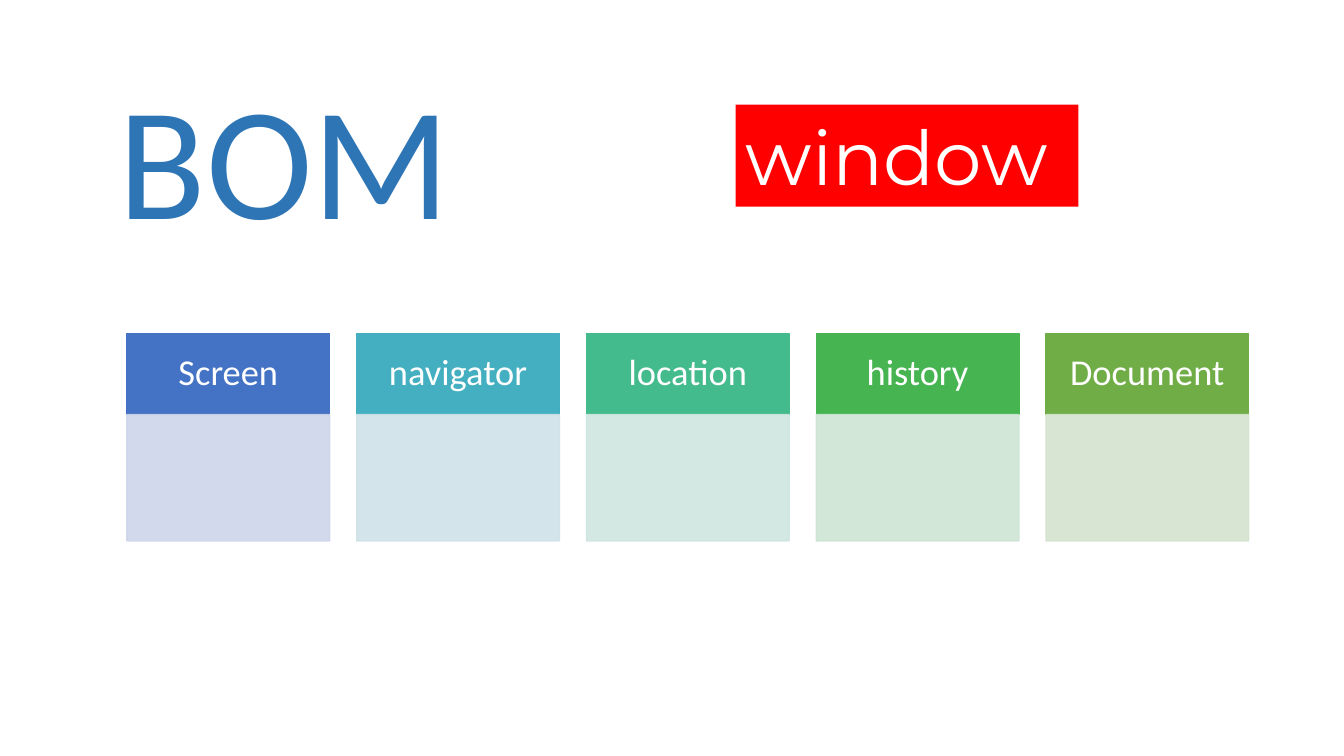
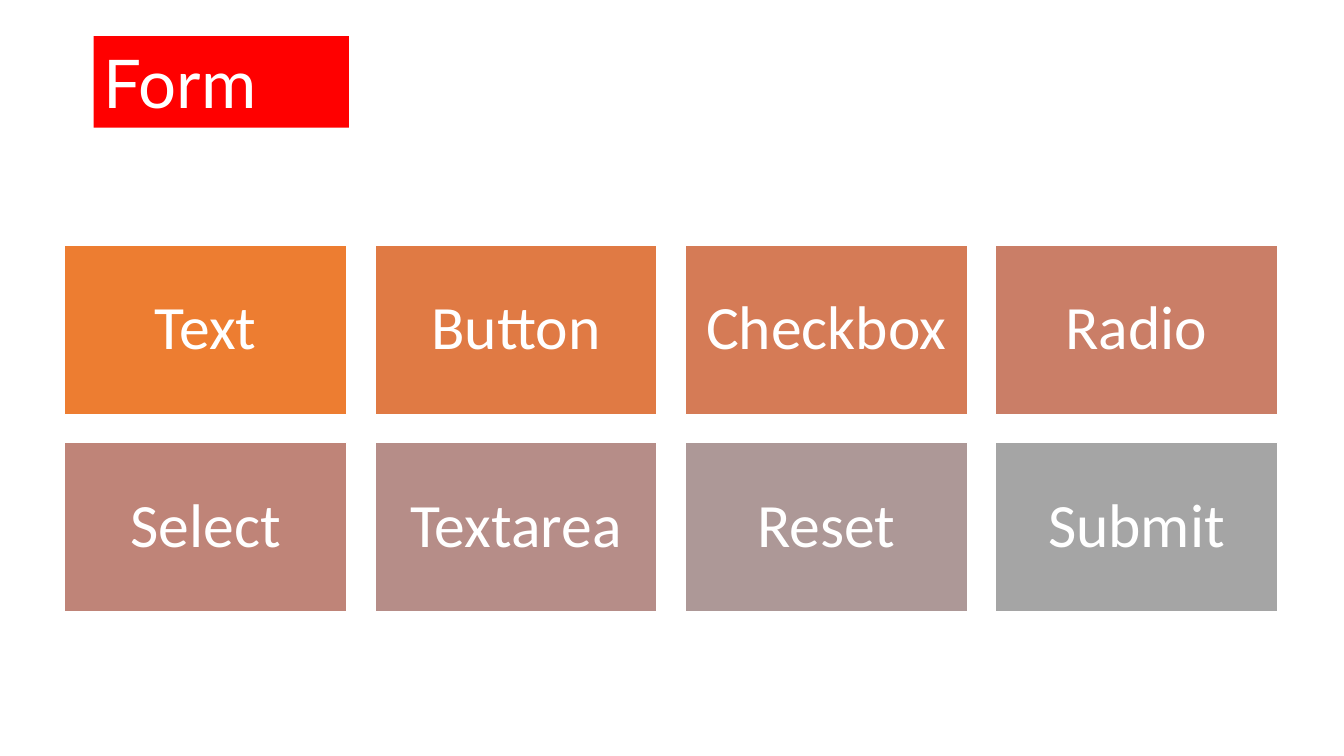
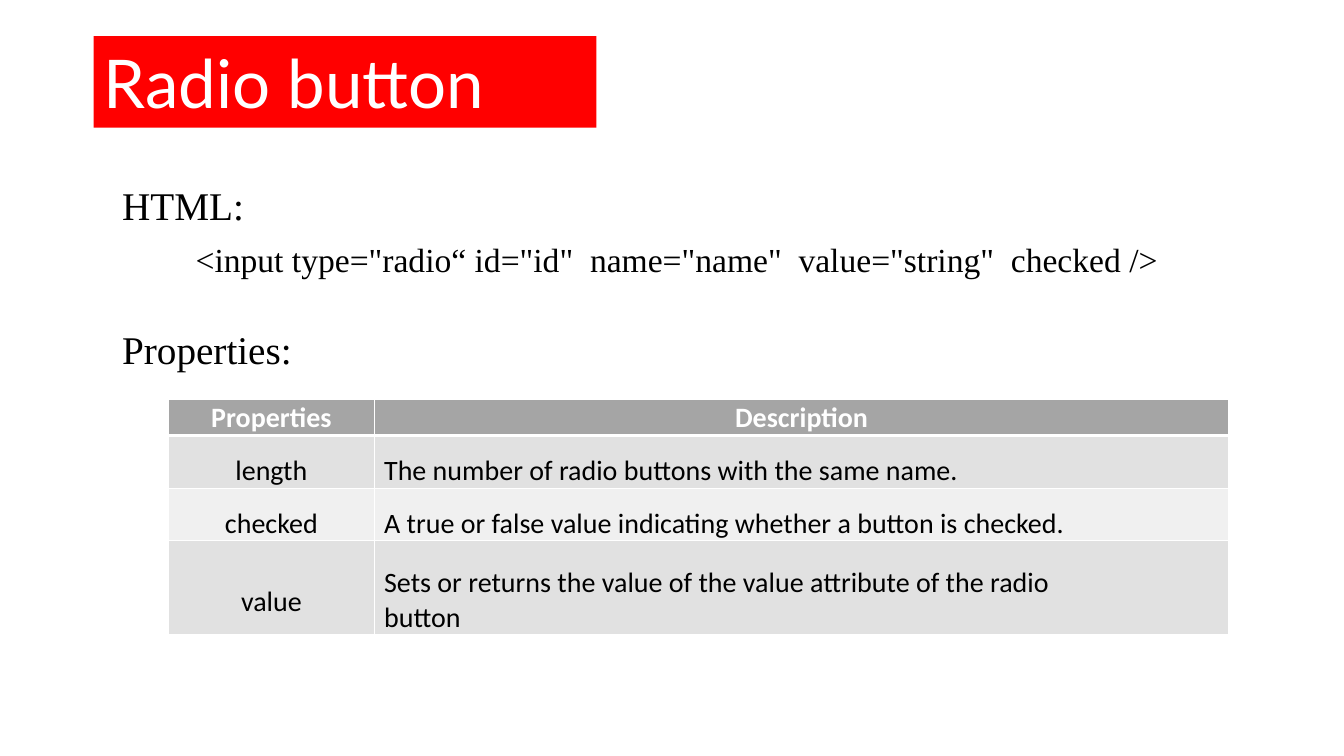
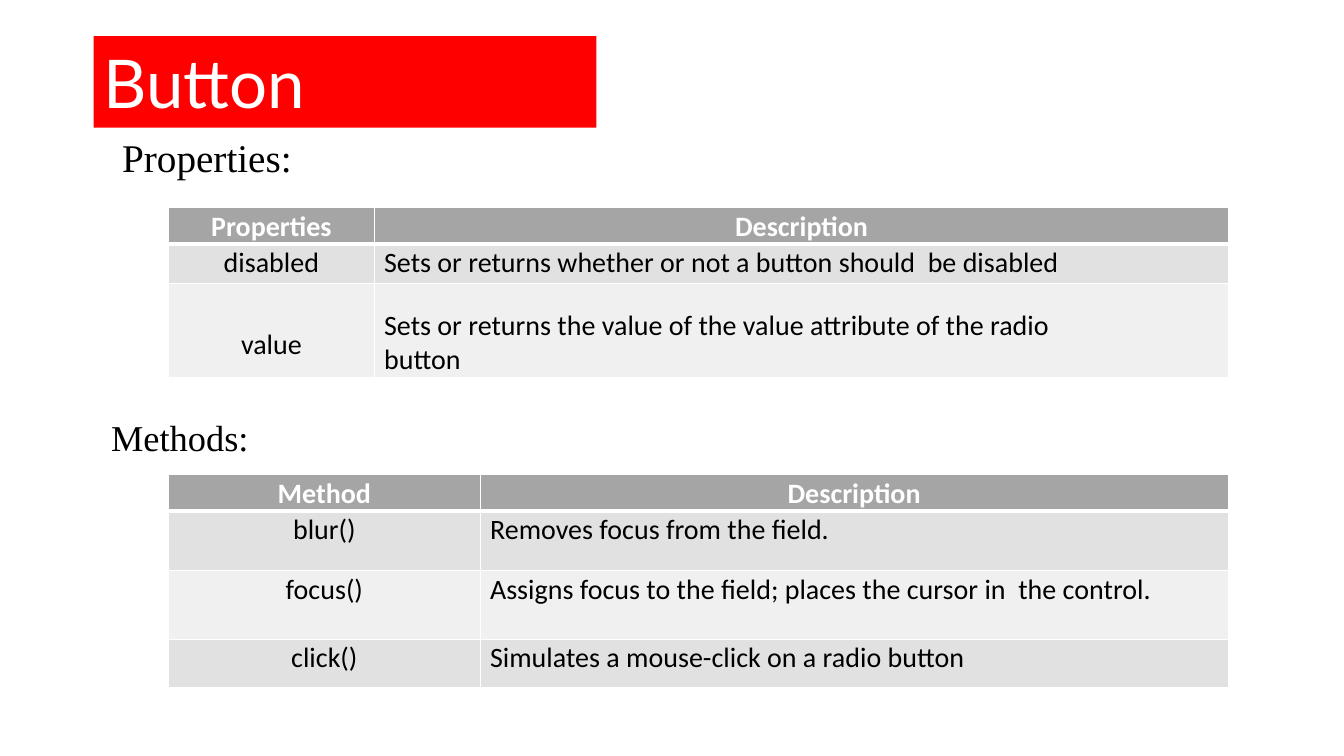
import dataclasses
import lxml.etree
import pptx
import pptx.dml.color
import pptx.enum.shapes
import pptx.enum.text
import pptx.oxml.ns
import pptx.util

Cm = pptx.util.Cm
Pt = pptx.util.Pt
qn = pptx.oxml.ns.qn
Align = pptx.enum.text.PP_ALIGN
Anchor = pptx.enum.text.MSO_ANCHOR
Rect = pptx.enum.shapes.MSO_SHAPE.RECTANGLE


@dataclasses.dataclass(frozen=True)
class Theme:
    """Colours, fonts and type sizes of the deck."""
    white: str = "FFFFFF"
    black: str = "000000"
    red: str = "FF0000"
    blue: str = "2E75B6"
    head: str = "A5A5A5"
    bands: tuple = ("E1E1E1", "F0F0F0")
    body: str = "Calibri"
    title: str = "Lato"
    accent: str = "Montserrat"
    serif: str = "Times New Roman"
    hero: int = 115
    badge: int = 54
    band: int = 48
    tile: int = 44
    label: int = 28
    minor: int = 26
    code: int = 24
    cell: int = 20


theme = Theme()
CARDS = (
    ("Screen", "4472C4", "CFD5EA"),
    ("navigator", "43AFC0", "CFE2E8"),
    ("location", "43BB8D", "CFE6E0"),
    ("history", "45B451", "CFE5D4"),
    ("Document", "70AD47", "D5E3CF"),
)
TILES = (
    ("Text", "ED7D31"), ("Button", "E07A44"),
    ("Checkbox", "D57B56"), ("Radio", "CA7E67"),
    ("Select", "BF8478"), ("Textarea", "B68D88"),
    ("Reset", "AD9897"), ("Submit", "A5A5A5"),
)
VALUE = ("value", "Sets or returns the value of the value attribute of the radio\nbutton",
         2.36, 1.12, 0.64)
RADIO = (
    ("Properties", "Description", 0.91, 0.05, 0.05),
    ("length", "The number of radio buttons with the same name.", 1.32, 0.46, 0.46),
    ("checked", "A true or false value indicating whether a button is checked.",
     1.32, 0.46, 0.46),
    VALUE,
)
BUTTON = (
    ("Properties", "Description", 0.88, 0.05, 0.05),
    ("disabled", "Sets or returns whether or not a button should  be disabled",
     0.99, 0.05, 0.05),
    VALUE,
)
METHODS = (
    ("Method", "Description", 0.88, 0.05, 0.05),
    ("blur()", "Removes focus from the field.", 1.5, 0.05, 0.05),
    ("focus()", "Assigns focus to the field; places the cursor in  the control.",
     1.73, 0.05, 0.05),
    ("click()", "Simulates a mouse-click on a radio button", 1.22, 0.05, 0.05),
)


def rgb(code):
    """Turn a hex code into a colour."""
    return pptx.dml.color.RGBColor.from_string(code)


def paint(item, code):
    """Fill a shape or cell with a solid colour."""
    item.fill.solid()
    item.fill.fore_color.rgb = rgb(code)


def write(frame, text, size=theme.cell, color=theme.black, font=theme.body,
          bold=False, align=Align.LEFT, lead=1.0):
    """Write text, one paragraph a line, in the given format."""
    for i, line in enumerate(text.split("\n")):
        para = frame.add_paragraph() if i else frame.paragraphs[0]
        para.alignment = align
        para.line_spacing = lead
        run = para.add_run()
        run.text = line
        run.font.size = Pt(size)
        run.font.name = font
        run.font.bold = bold
        run.font.color.rgb = rgb(color)


def setup(frame, side=0.25, top=0.13, anchor=Anchor.TOP):
    """Set wrapping, insets and anchor of a text frame."""
    frame.word_wrap = True
    frame.auto_size = pptx.enum.text.MSO_AUTO_SIZE.NONE
    frame.margin_left = frame.margin_right = Cm(side)
    frame.margin_top = frame.margin_bottom = Cm(top)
    frame.vertical_anchor = anchor


def title(slide, text, box, fill=theme.red, **form):
    """Place and format the title placeholder."""
    shape = slide.shapes.title
    shape.left, shape.top, shape.width, shape.height = map(Cm, box)
    paint(shape, fill)
    setup(shape.text_frame)
    write(shape.text_frame, text, **form)


def band(slide, text, width):
    """Place the red title band at the top left."""
    title(slide, text, (2.36, 0.91, width, 2.31), size=theme.band,
          color=theme.white, font=theme.title)


def label(slide, text, box, size=theme.label):
    """Place a line of serif text."""
    shape = slide.shapes.add_textbox(*map(Cm, box))
    setup(shape.text_frame, side=0.03, top=0.03)
    write(shape.text_frame, text, size=size, font=theme.serif)


def block(slide, box, fill, line, text="", alpha=None, **form):
    """Place a rectangle, see-through or with centred text on request."""
    shape = slide.shapes.add_shape(Rect, *map(Cm, box))
    shape.shadow.inherit = False
    paint(shape, fill)
    shape.line.color.rgb = rgb(line)
    shape.line.width = Pt(1)
    if alpha:
        for color in list(shape._element.spPr.iter(qn("a:srgbClr"))):
            lxml.etree.SubElement(color, qn("a:alpha"), val=str(alpha * 1000))
    if text:
        setup(shape.text_frame, anchor=Anchor.MIDDLE)
        write(shape.text_frame, text, color=theme.white, align=Align.CENTER,
              lead=0.9, **form)


def cards(slide, box, gap=0.68, head=2.04):
    """Place a row of cards, each a head over a pale body."""
    left, top, width, height = box
    wide = (width - gap * (len(CARDS) - 1)) / len(CARDS)
    for i, (name, dark, pale) in enumerate(CARDS):
        x = left + i * (wide + gap)
        block(slide, (x, top, wide, head), dark, dark, name, size=theme.minor)
        block(slide, (x, top + head, wide, height - head), pale, pale, alpha=90)


def tiles(slide, box, cols=4, gap=0.71):
    """Place the form controls in a grid."""
    left, top, width, height = box
    rows = len(TILES) // cols
    wide = (width - gap * (cols - 1)) / cols
    high = (height - gap * (rows - 1)) / rows
    for i, (name, fill) in enumerate(TILES):
        row, col = divmod(i, cols)
        spot = (left + col * (wide + gap), top + row * (high + gap), wide, high)
        block(slide, spot, fill, theme.white, name, size=theme.tile)


def border(cell, thick):
    """Draw white cell edges, thick on the named sides."""
    props = cell._tc.get_or_add_tcPr()
    for i, side in enumerate("LRTB"):
        width = Pt(3 if side in thick else 1)
        edge = lxml.etree.Element(qn("a:ln" + side), w=str(width))
        fill = lxml.etree.SubElement(edge, qn("a:solidFill"))
        lxml.etree.SubElement(fill, qn("a:srgbClr"), val=theme.white)
        props.insert(i, edge)


def grid(slide, rows, box, first):
    """Place a two-column table with a header and banded rows."""
    left, top, width = box
    high = sum(row[2] for row in rows)
    table = slide.shapes.add_table(
        len(rows), 2, Cm(left), Cm(top), Cm(width), Cm(high)).table
    table.horz_banding = False
    table.columns[0].width = Cm(first)
    table.columns[1].width = Cm(width - first)
    for r, (name, about, tall, *pads) in enumerate(rows):
        table.rows[r].height = Cm(tall)
        for c, text in enumerate((name, about)):
            cell = table.cell(r, c)
            prose = r > 0 and c == 1
            cell.margin_left = Cm(0.25 if prose else 0)
            cell.margin_right = cell.margin_bottom = 0
            cell.margin_top = Cm(pads[c])
            paint(cell, theme.bands[(r - 1) % 2] if r else theme.head)
            border(cell, {0: "B", 1: "T"}.get(r, ""))
            write(cell.text_frame, text, bold=r == 0,
                  color=theme.black if r else theme.white,
                  align=Align.LEFT if prose else Align.CENTER)


def model(slide):
    """Build the slide on the browser object model."""
    title(slide, "BOM", (2.74, 1.35, 10.26, 5.18), fill=theme.white,
          size=theme.hero, color=theme.blue)
    cards(slide, (3.2, 8.41, 28.27, 5.22))
    badge = slide.shapes.add_textbox(*map(Cm, (18.54, 2.64, 8.64, 2.57)))
    paint(badge, theme.red)
    setup(badge.text_frame)
    write(badge.text_frame, "window", size=theme.badge, color=theme.white,
          font=theme.accent)


def form(slide):
    """Build the slide on form controls."""
    band(slide, "Form", 6.43)
    tiles(slide, (1.63, 6.17, 30.57, 9.25))


def radio(slide):
    """Build the slide on the radio button."""
    band(slide, "Radio button", 12.67)
    label(slide, "HTML:", (3.05, 4.55, 6.3, 1.24))
    label(slide, '<input type="radio“ id="id"  name="name"  value="string"  checked />',
          (4.9, 6.0, 25.5, 1.1), size=theme.code)
    label(slide, "Properties:", (3.05, 8.18, 4.75, 1.24))
    grid(slide, RADIO, (4.25, 10.06, 26.72), 5.18)


def button(slide):
    """Build the slide on the button."""
    band(slide, "Button", 12.67)
    label(slide, "Properties:", (3.05, 3.33, 4.75, 1.24))
    grid(slide, BUTTON, (4.25, 5.23, 26.72), 5.18)
    label(slide, "Methods:", (2.77, 10.44, 4.5, 1.17), size=theme.minor)
    grid(slide, METHODS, (4.25, 11.96, 26.7), 7.85)


def main():
    """Build and save the deck."""
    deck = pptx.Presentation()
    deck.slide_width, deck.slide_height = Cm(33.87), Cm(19.05)
    for build in (model, form, radio, button):
        build(deck.slides.add_slide(deck.slide_layouts[5]))
    deck.save("out.pptx")


main()
